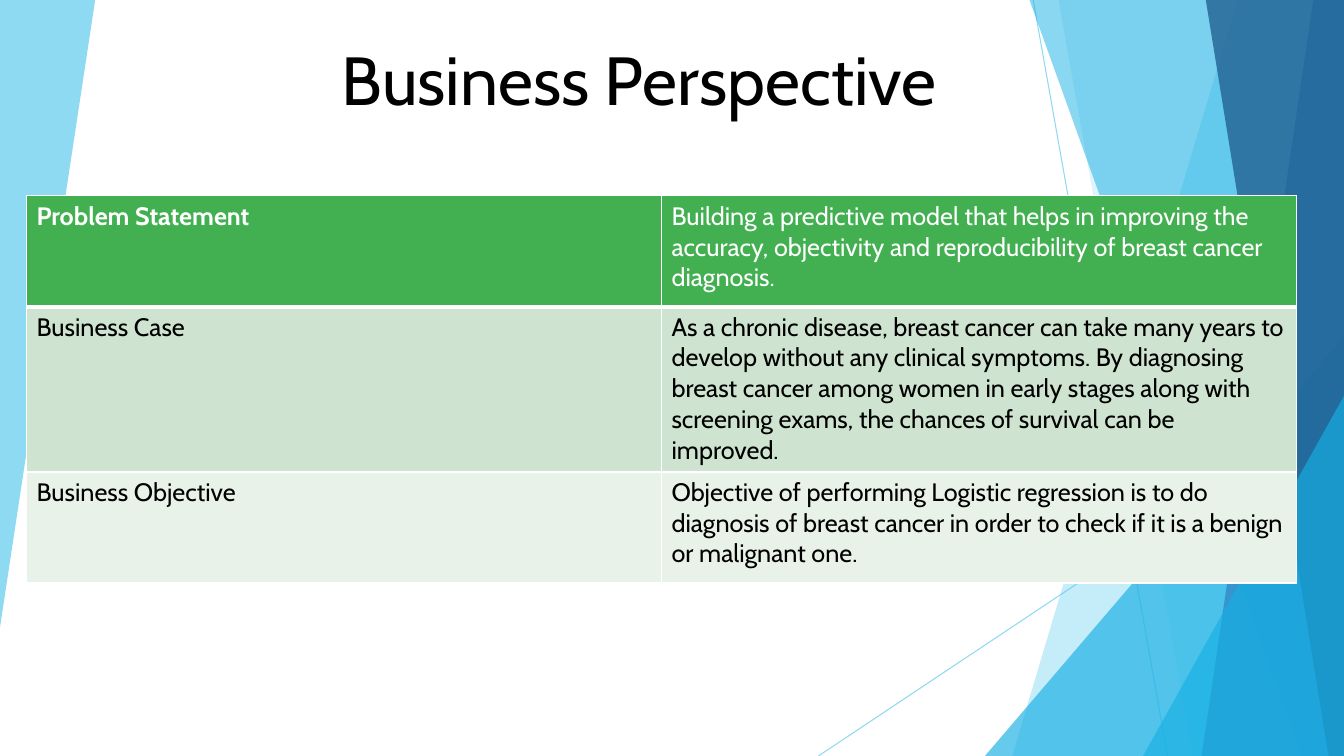
from dataclasses import dataclass

from lxml import etree
from pptx import Presentation
from pptx.dml.color import RGBColor
from pptx.enum import shapes, text
from pptx.oxml import ns
from pptx.util import Pt

WHITE = RGBColor(0xFF, 0xFF, 0xFF)
BLACK = RGBColor(0, 0, 0)
SKY = RGBColor(0x5F, 0xCB, 0xEF)
AZURE = RGBColor(0x17, 0xB0, 0xE4)
STEEL = RGBColor(0x2E, 0x83, 0xC3)
NAVY = RGBColor(0x22, 0x62, 0x92)
GREEN = RGBColor(0x42, 0xB0, 0x51)
MINT = RGBColor(0xCF, 0xE4, 0xD0)
PALE = RGBColor(0xE9, 0xF2, 0xE9)

FONT = "Cabin"
WIDTH, HEIGHT = 960, 540
TOP = -0.6


@dataclass(frozen=True)
class Ray:
    start: tuple[float, float]
    end: tuple[float, float]


@dataclass(frozen=True)
class Facet:
    points: tuple[tuple[float, float], ...]
    color: RGBColor
    opacity: int


@dataclass(frozen=True)
class Corner:
    left: float
    top: float


@dataclass(frozen=True)
class Row:
    heading: str
    detail: str
    height: float
    fill: RGBColor
    ink: RGBColor
    bold: bool
    top_rule: float
    bottom_rule: float


def right_facet(top_x: float, bottom_x: float, color: RGBColor, opacity: int) -> Facet:
    points = ((top_x, TOP), (WIDTH, TOP), (WIDTH, HEIGHT), (bottom_x, HEIGHT))
    return Facet(points, color, opacity)


LEFT_FACET = Facet(((0, 0), (67.9, TOP), (67.9, 0.6), (0, 448)), SKY, 70)
RAYS = (Ray((738, 0), (834, HEIGHT)), Ray((WIDTH, 290), (584.6, HEIGHT)))
DECORATION = (
    right_facet(884.2, 723, SKY, 36),
    right_facet(756, 852, SKY, 20),
    Corner(703.5, 240),
    right_facet(735.2, 929.5, AZURE, 50),
    right_facet(938.2, 858.3, STEEL, 70),
    right_facet(861.2, 949, NAVY, 80),
    Corner(816.5, 282.8),
)
ROWS = (
    Row(
        "Problem Statement",
        "Building a predictive model that helps in improving the accuracy, "
        "objectivity and reproducibility of breast cancer diagnosis.",
        79.2, GREEN, WHITE, True, 1, 3,
    ),
    Row(
        "Business Case",
        "As a chronic disease, breast cancer can take many years to develop "
        "without any clinical symptoms. By diagnosing breast cancer among women "
        "in early stages along with screening exams, the chances of survival can "
        "be improved.",
        118.1, MINT, BLACK, False, 3, 1,
    ),
    Row(
        "Business Objective",
        "Objective of performing Logistic regression is to do diagnosis of breast "
        "cancer in order to check if it is a benign or malignant one.",
        79.2, PALE, BLACK, False, 1, 1,
    ),
)


def set_opacity(shape, percent: int) -> None:
    for color in shape._element.spPr.iter(ns.qn("a:srgbClr")):
        etree.SubElement(color, ns.qn("a:alpha"), val=str(percent * 1000))


def paint(shape, color: RGBColor, opacity: int) -> None:
    shape.shadow.inherit = False
    shape.fill.solid()
    shape.fill.fore_color.rgb = color
    shape.line.fill.background()
    set_opacity(shape, opacity)


def draw_facet(page, facet: Facet) -> None:
    first, *others = [(Pt(x), Pt(y)) for x, y in facet.points]
    builder = page.shapes.build_freeform(*first)
    builder.add_line_segments(others, close=True)
    paint(builder.convert_to_shape(), facet.color, facet.opacity)


def draw_corner(page, corner: Corner) -> None:
    triangle = page.shapes.add_shape(
        shapes.MSO_SHAPE.ISOSCELES_TRIANGLE,
        Pt(corner.left), Pt(corner.top),
        Pt(WIDTH - corner.left), Pt(HEIGHT - corner.top),
    )
    triangle.adjustments[0] = 1
    paint(triangle, AZURE, 66)


def draw_ray(page, ray: Ray) -> None:
    line = page.shapes.add_connector(
        shapes.MSO_CONNECTOR.STRAIGHT, *map(Pt, ray.start + ray.end)
    )
    line.line.color.rgb = SKY
    line.line.width = Pt(0.75)
    set_opacity(line, 70)
    etree.SubElement(line._element.spPr, ns.qn("a:effectLst"))


def add_span(para, wording: str, size: float, color: RGBColor, bold: bool = False) -> None:
    span = para.add_run()
    span.text = wording
    span.font.name = FONT
    span.font.size = Pt(size)
    span.font.bold = bold
    span.font.color.rgb = color


def draw_title(page) -> None:
    box = page.shapes.add_textbox(Pt(-33.1), Pt(19.4), Pt(720), Pt(69.1))
    frame = box.text_frame
    frame.word_wrap = True
    frame.vertical_anchor = text.MSO_ANCHOR.BOTTOM
    para = frame.paragraphs[0]
    para.alignment = text.PP_ALIGN.RIGHT
    add_span(para, "Business Perspective ", 48.6, BLACK)


def set_borders(cell, row: Row) -> None:
    properties = cell._tc.get_or_add_tcPr()
    widths = {"lnL": 1, "lnR": 1, "lnT": row.top_rule, "lnB": row.bottom_rule}
    for side, width in widths.items():
        border = etree.SubElement(properties, ns.qn(f"a:{side}"), w=str(Pt(width)))
        fill = etree.SubElement(border, ns.qn("a:solidFill"))
        etree.SubElement(fill, ns.qn("a:srgbClr"), val=str(WHITE))


def draw_table(page) -> None:
    height = sum(row.height for row in ROWS)
    frame = page.shapes.add_table(
        len(ROWS), 2, Pt(18.9), Pt(139.9), Pt(907.2), Pt(height)
    )
    table = frame.table
    for index, row in enumerate(ROWS):
        table.rows[index].height = Pt(row.height)
        for column, wording in enumerate((row.heading, row.detail)):
            cell = table.cell(index, column)
            set_borders(cell, row)
            cell.fill.solid()
            cell.fill.fore_color.rgb = row.fill
            bold = row.bold and column == 0
            add_span(cell.text_frame.paragraphs[0], wording, 18, row.ink, bold)


def main() -> None:
    deck = Presentation()
    deck.slide_width, deck.slide_height = Pt(WIDTH), Pt(HEIGHT)
    page = deck.slides.add_slide(deck.slide_layouts[6])
    page.background.fill.solid()
    page.background.fill.fore_color.rgb = WHITE
    draw_facet(page, LEFT_FACET)
    for ray in RAYS:
        draw_ray(page, ray)
    for item in DECORATION:
        if isinstance(item, Facet):
            draw_facet(page, item)
        else:
            draw_corner(page, item)
    draw_title(page)
    draw_table(page)
    deck.save("out.pptx")


if __name__ == "__main__":
    main()
